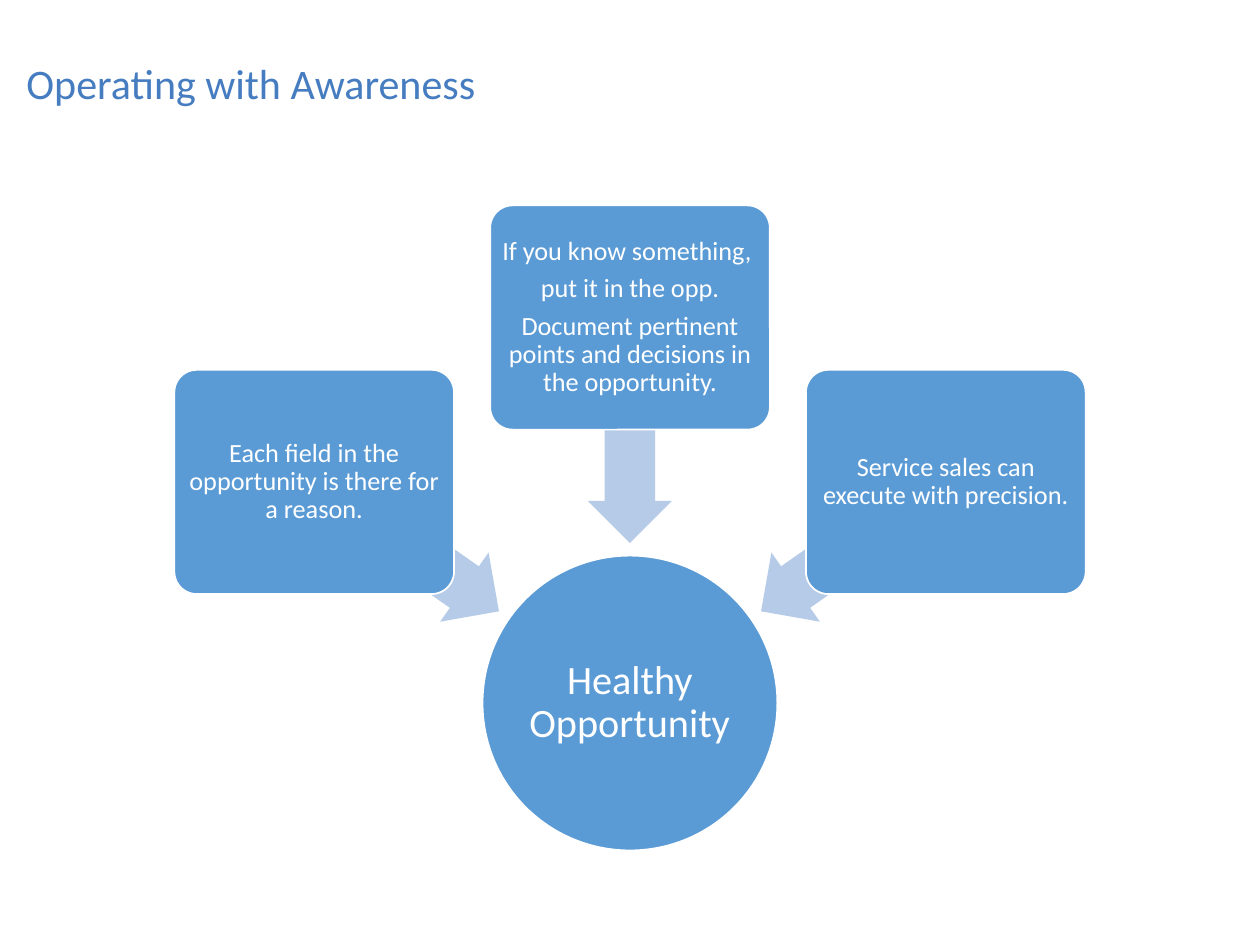
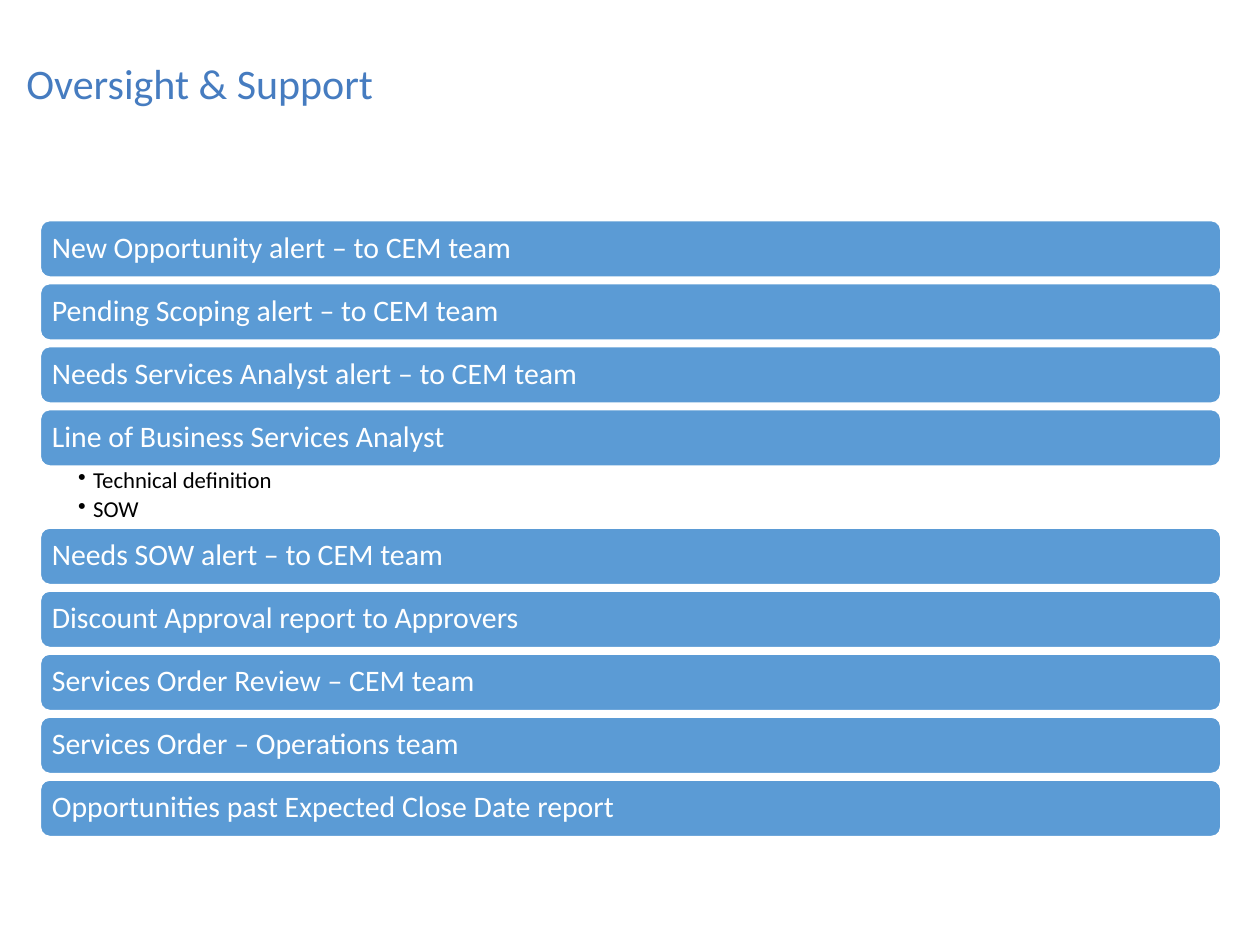
from math import cos, radians, sin

from lxml import etree
from pptx import Presentation
from pptx.dml.color import RGBColor
from pptx.enum.shapes import MSO_SHAPE
from pptx.enum.text import MSO_ANCHOR, MSO_AUTO_SIZE, PP_ALIGN
from pptx.oxml.ns import qn
from pptx.util import Inches, Pt

CIRCLE, ROUNDED, ARROW = MSO_SHAPE.OVAL, MSO_SHAPE.ROUNDED_RECTANGLE, MSO_SHAPE.LEFT_ARROW
LEFT, CENTER = PP_ALIGN.LEFT, PP_ALIGN.CENTER
TOP, MIDDLE = MSO_ANCHOR.TOP, MSO_ANCHOR.MIDDLE
NO_FIT = MSO_AUTO_SIZE.NONE

FONT = "Calibri"
COLORS = {"title": "467CC0", "block": "5B9BD5", "arrow": "B5CBE7",
          "light": "FFFFFF", "dark": "000000"}
COLUMNS, ROWS = 100, 75
LINE_SPACING = 0.9
TITLE_BOX = (1.1, 2.5, 72.8, 8.7)

HUB_TEXT = "Healthy Opportunity"
HUB_CENTER, HUB_SIZE = (50, 55.8), 23.4
CARD_DISTANCE, ARROW_DISTANCE = 30.6, 21.65
CARD_SIZE, ARROW_SIZE = (22.2, 17.8), (17.9, 6.7)
CARDS = {
    215: ["Each field in the opportunity is there for a reason."],
    270: ["If you know something, ", "put it in the opp.",
          "Document pertinent points and decisions in the opportunity."],
    325: ["Service sales can execute with precision."],
}

BAR_LEFT, BAR_WIDTH, BAR_HEIGHT, BAR_GAP = 3.2, 93.7, 4.5, 0.5
FIRST_BAR_TOP, DETAILS_HEIGHT = 17.5, 4.9
ALERTS = {
    "New Opportunity alert – to CEM team": [],
    "Pending Scoping alert – to CEM team": [],
    "Needs Services Analyst alert – to CEM team": [],
    "Line of Business Services Analyst": ["Technical definition", "SOW"],
    "Needs SOW alert – to CEM team": [],
    "Discount Approval report to Approvers": [],
    "Services Order Review – CEM team": [],
    "Services Order – Operations team": [],
    "Opportunities past Expected Close Date report": [],
}


def rgb(name):
    return RGBColor.from_string(COLORS[name])


def apply_formats(target, formats):
    for attribute, value in formats.items():
        setattr(target, attribute, value)


def around(center, size):
    """Grid box of the given size with the given centre."""
    return (center[0] - size[0] / 2, center[1] - size[1] / 2, *size)


def from_hub(angle, distance):
    turn = radians(angle)
    return HUB_CENTER[0] + distance * cos(turn), HUB_CENTER[1] + distance * sin(turn)


class Deck:
    def __init__(self):
        self.prs = Presentation()
        self.prs.slide_width, self.prs.slide_height = Inches(10), Inches(7.5)
        self.slide = None

    def place(self, box):
        """Turn a box in columns and rows into slide lengths."""
        column, row = self.prs.slide_width / COLUMNS, self.prs.slide_height / ROWS
        return [round(n * unit) for n, unit in zip(box, (column, row) * 2)]

    def new_slide(self, title):
        self.slide = self.prs.slides.add_slide(self.prs.slide_layouts[5])
        heading = self.slide.shapes.title
        sides = ("left", "top", "width", "height")
        apply_formats(heading, dict(zip(sides, self.place(TITLE_BOX))))
        self.set_text(heading, [title], 24, "title", LEFT, after=0, insets=(0.1, 0.05))

    def set_text(self, holder, lines, size, color, align=CENTER, after=0.35,
                 insets=(0.03, 0.03), anchor=MIDDLE):
        """Fill a holder; after is a share of the text size, insets are inches."""
        frame = holder.text_frame
        across, down = map(Inches, insets)
        apply_formats(frame, {"word_wrap": True, "auto_size": NO_FIT,
                              "vertical_anchor": anchor,
                              "margin_left": across, "margin_right": across,
                              "margin_top": down, "margin_bottom": down})
        frame.text = "\n".join(lines)
        for paragraph in frame.paragraphs:
            apply_formats(paragraph, {"alignment": align, "line_spacing": LINE_SPACING,
                                      "space_before": Pt(0),
                                      "space_after": Pt(size * after)})
            apply_formats(paragraph.runs[0].font, {"name": FONT, "size": Pt(size)})
            paragraph.runs[0].font.color.rgb = rgb(color)

    def solid(self, kind, box, color, adjustments=()):
        solid = self.slide.shapes.add_shape(kind, *self.place(box))
        solid.shadow.inherit = False
        solid.fill.solid()
        solid.fill.fore_color.rgb = rgb(color)
        solid.line.fill.background()
        for index, value in enumerate(adjustments):
            solid.adjustments[index] = value
        return solid

    def block(self, kind, box, lines, size, adjustments=(), **text_format):
        block = self.solid(kind, box, "block", adjustments)
        block.line.color.rgb = rgb("light")
        block.line.width = Pt(1)
        self.set_text(block, lines, size, "light", **text_format)

    def arrow(self, box, angle):
        self.solid(ARROW, box, "arrow", (0.6, 0.5)).rotation = angle

    def bullets(self, box, lines):
        details = self.slide.shapes.add_textbox(*self.place(box))
        self.set_text(details, lines, 13, "dark", LEFT, 0.2, (0.3, 0.02), TOP)
        details.text_frame.margin_right = Inches(0.13)
        hang = Inches(0.12)
        for paragraph in details.text_frame.paragraphs:
            paragraph.level = 1
            properties = paragraph._p.get_or_add_pPr()
            properties.set("marL", str(hang))
            properties.set("indent", str(-hang))
            etree.SubElement(properties, qn("a:buChar"), char="•")


def build_awareness(deck):
    deck.new_slide("Operating with Awareness")
    deck.block(CIRCLE, around(HUB_CENTER, (HUB_SIZE, HUB_SIZE)), [HUB_TEXT], 23,
               insets=(0.02, 0.02))
    for angle, lines in CARDS.items():
        deck.arrow(around(from_hub(angle, ARROW_DISTANCE), ARROW_SIZE), angle)
        deck.block(ROUNDED, around(from_hub(angle, CARD_DISTANCE), CARD_SIZE), lines, 15, (0.1,))


def build_oversight(deck):
    deck.new_slide("Oversight & Support")
    top = FIRST_BAR_TOP
    for alert, details in ALERTS.items():
        deck.block(ROUNDED, (BAR_LEFT, top, BAR_WIDTH, BAR_HEIGHT), [alert], 17,
                   align=LEFT, insets=(0.07, 0.07))
        top += BAR_HEIGHT
        if details:
            deck.bullets((BAR_LEFT, top, BAR_WIDTH, DETAILS_HEIGHT), details)
        top += DETAILS_HEIGHT if details else BAR_GAP


def main():
    deck = Deck()
    build_awareness(deck)
    build_oversight(deck)
    deck.prs.save("out.pptx")


if __name__ == "__main__":
    main()
